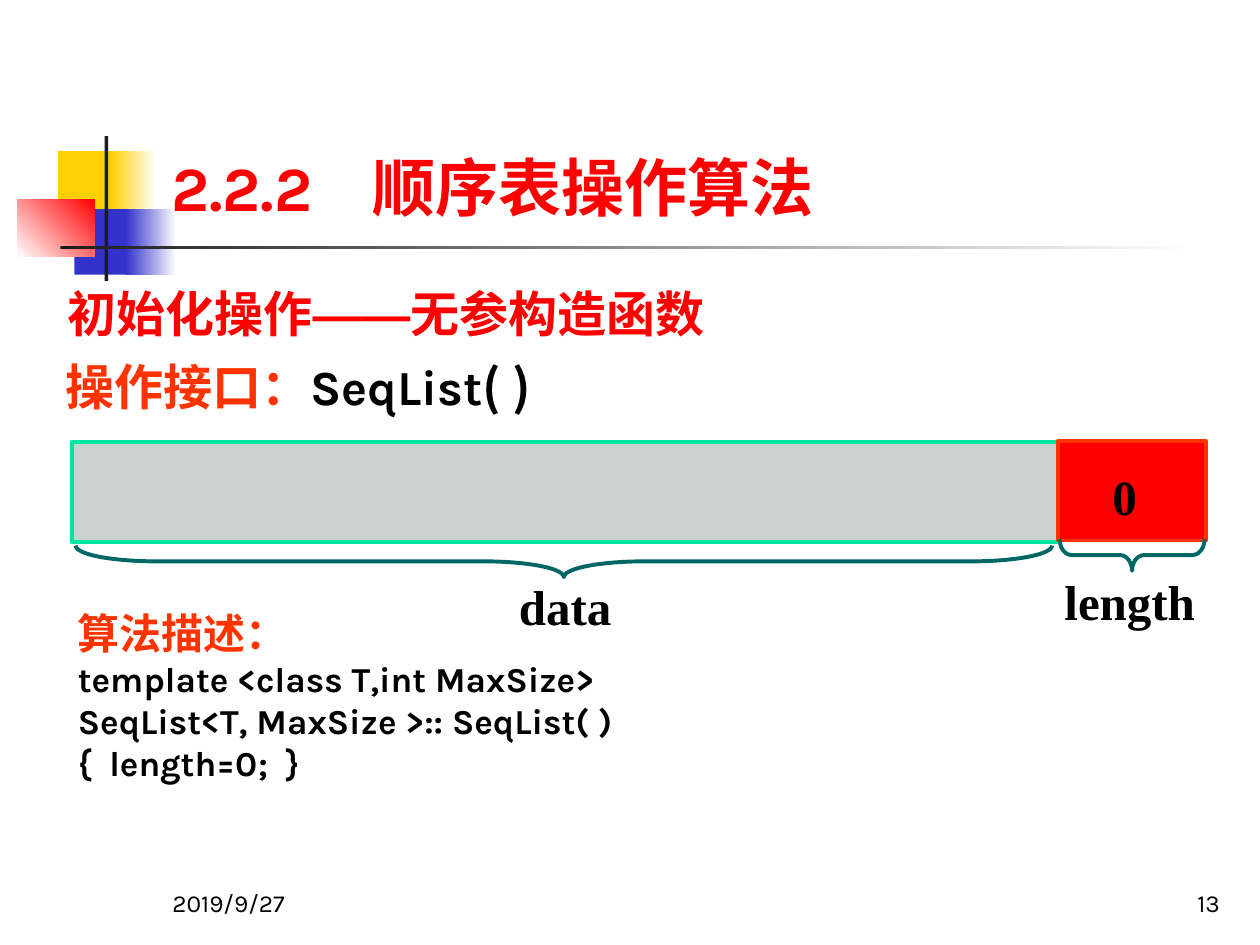
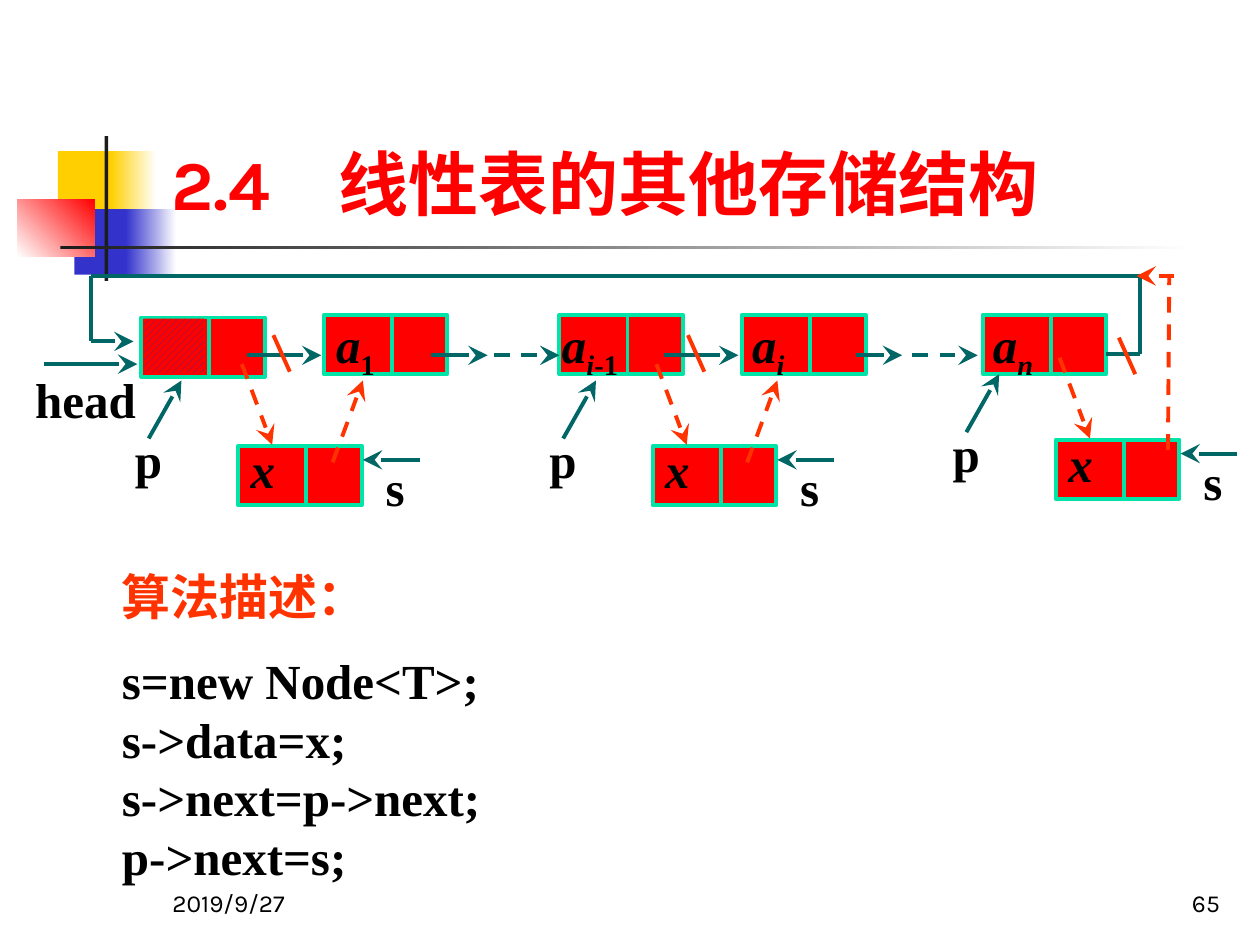
"""Builds two data-structure slides: a sequential list and a circular linked list."""
from dataclasses import dataclass
from itertools import pairwise

import pptx
import pptx.dml.color
import pptx.enum.dml
import pptx.enum.shapes
import pptx.enum.text
import pptx.oxml.ns
import pptx.util
from lxml import etree

SHAPES = pptx.enum.shapes.MSO_SHAPE
ANCHORS = pptx.enum.text.MSO_ANCHOR
ALIGNS = pptx.enum.text.PP_ALIGN
qn = pptx.oxml.ns.qn


@dataclass(frozen=True)
class Theme:
    """Colours, faces and type sizes of the deck."""
    ink: str = "000000"
    paper: str = "FFFFFF"
    red: str = "FF0000"
    orange: str = "FF3300"
    teal: str = "006666"
    mint: str = "00E4A8"
    grey: str = "CBD3D1"
    yellow: str = "FFCF01"
    blue: str = "3333CC"
    hatch: str = "333399"
    bar: str = "1C1C1C"
    sans: str = "Karla"
    serif: str = "Times New Roman"
    east: str = "Noto Sans CJK SC"
    dash: str = "Arial"
    footer: int = 14
    code: int = 20
    heading: int = 24
    body: int = 28
    title: int = 36
    large_title: int = 40
    stroke: float = 2.25


THEME = Theme()
COLUMNS, ROWS = 100, 75
NODE_WIDTH, NODE_HEIGHT, NODE_SPLIT = 9.8, 4.7, 5.4


def grid(cells):
    """Turn grid cells, a tenth of an inch each, into a length."""
    return pptx.util.Inches(cells / 10)


def rgb(code):
    """Turn a hex code into a colour."""
    return pptx.dml.color.RGBColor.from_string(code)


def set_face(font, latin, east):
    """Set the Latin and East Asian faces of a font."""
    font.name = latin
    etree.SubElement(font._rPr, qn("a:ea")).set("typeface", east)


@dataclass
class Span:
    """A run with only what differs from its paragraph."""
    text: str
    color: str = None
    face: str = None
    italic: bool = None
    subscript: bool = False

    def add_to(self, para):
        """Append this run to a paragraph."""
        span = para.add_run()
        span.text = self.text
        if self.italic is not None:
            span.font.italic = self.italic
        if self.color:
            span.font.color.rgb = rgb(self.color)
        if self.face:
            set_face(span.font, self.face, self.face)
        if self.subscript:
            span.font._rPr.set("baseline", "-25000")


@dataclass
class Para:
    """A paragraph's runs and their shared style."""
    spans: list
    size: int = THEME.body
    color: str = THEME.ink
    face: str = THEME.serif
    bold: bool = True
    italic: bool = False
    spacing: float = None
    before: float = None
    hang: float = 0
    tab: float = 0
    align: ALIGNS = ALIGNS.LEFT

    def fill(self, para):
        """Write this content into a paragraph."""
        props = para._p.get_or_add_pPr()
        if self.hang:
            props.set("marL", str(grid(self.hang)))
            props.set("indent", str(-grid(self.hang)))
        if self.tab:
            stops = etree.SubElement(props, qn("a:tabLst"))
            etree.SubElement(stops, qn("a:tab"), pos=str(grid(self.tab)), algn="l")
        para.alignment = self.align
        if self.spacing:
            para.line_spacing = self.spacing
        if self.before:
            para.space_before = pptx.util.Pt(self.before)
        para.font.size = pptx.util.Pt(self.size)
        para.font.bold = self.bold
        para.font.italic = self.italic
        para.font.color.rgb = rgb(self.color)
        set_face(para.font, self.face, THEME.east)
        for span in self.spans:
            span.add_to(para)


def write(shape, paras, insets=(1, 0.5, 1, 0.5), anchor=ANCHORS.TOP):
    """Fill a shape's text frame with paragraphs."""
    frame = shape.text_frame
    frame.word_wrap = True
    frame.vertical_anchor = anchor
    (frame.margin_left, frame.margin_top,
     frame.margin_right, frame.margin_bottom) = map(grid, insets)
    for index, content in enumerate(paras):
        content.fill(frame.add_paragraph() if index else frame.paragraphs[0])


@dataclass
class Region:
    """An area of a page whose contents are placed from its top left corner."""
    page: object
    left: float = 0
    top: float = 0

    def inner(self, left, top):
        """Return a region inside this one."""
        return Region(self.page, self.left + left, self.top + top)

    def place(self, left, top, width, height):
        """Return the slide lengths of a box in this region."""
        return [grid(cells) for cells in (self.left + left, self.top + top, width, height)]

    def text(self, box, paras, **layout):
        """Add a text box."""
        write(self.page.shapes.add_textbox(*self.place(*box)), paras, **layout)

    def shape(self, box, fill=None, line=None, kind=SHAPES.RECTANGLE):
        """Add a preset shape with a plain fill and outline."""
        shape = self.page.shapes.add_shape(kind, *self.place(*box))
        shape.shadow.inherit = False
        if fill:
            shape.fill.solid()
            shape.fill.fore_color.rgb = rgb(fill)
        else:
            shape.fill.background()
        if line:
            shape.line.color.rgb = rgb(line)
            shape.line.width = pptx.util.Pt(THEME.stroke)
        else:
            shape.line.fill.background()
        return shape

    def fade(self, box, start, end, angle=0):
        """Add a rectangle that fades from one colour to another."""
        fill = self.shape(box).fill
        fill.gradient()
        fill.gradient_angle = angle
        for stop, code in zip(fill.gradient_stops, (start, end)):
            stop.color.rgb = rgb(code)

    def line(self, start, end, color=THEME.teal, arrow=False, dashed=False):
        """Add a straight line, with an arrowhead at its end if asked."""
        points = self.place(*start, 0, 0)[:2] + self.place(*end, 0, 0)[:2]
        line = self.page.shapes.add_connector(
            pptx.enum.shapes.MSO_CONNECTOR.STRAIGHT, *points)
        line.line.color.rgb = rgb(color)
        line.line.width = pptx.util.Pt(THEME.stroke)
        if dashed:
            line.line.dash_style = pptx.enum.dml.MSO_LINE.DASH
        props = line._element.spPr
        if arrow:
            etree.SubElement(props.find(qn("a:ln")), qn("a:tailEnd"),
                             type="stealth", w="lg", len="lg")
        etree.SubElement(props, qn("a:effectLst"))

    def brace(self, box, curl):
        """Add a brace that opens upwards across a box."""
        left, top, width, height = box
        middle, centre = left + width / 2, top + height / 2
        upright = (middle - height / 2, centre - width / 2, height, width)
        brace = self.shape(upright, line=THEME.teal, kind=SHAPES.LEFT_BRACE)
        brace.rotation = 270
        brace.adjustments[0] = curl


def draw_emblem(region):
    """Draw the coloured blocks and the rules beside the title."""
    region.shape((3.2, 1.2, 4.8, 5.2), THEME.yellow)
    region.fade((7.4, 1.2, 3.6, 5.2), THEME.yellow, THEME.paper)
    region.shape((4.5, 5.8, 4.6, 5.2), THEME.blue)
    region.fade((8.6, 5.8, 4, 5.2), THEME.blue, THEME.paper)
    region.fade((0, 5, 6.1, 4.6), THEME.paper, THEME.red, 45)
    region.shape((6.9, 0, 0.3, 11.5), THEME.bar)
    region.fade((3.4, 8.7, 90, 0.3), THEME.bar, THEME.paper)


def draw_frame(region, title, number, size, tab):
    """Draw what every slide shares: emblem, footer and title."""
    draw_emblem(region.inner(1.4, 10.8))
    for left, label, align in ((12.7, "2019/9/27", ALIGNS.LEFT), (77, number, ALIGNS.RIGHT)):
        region.text((left, 68.3, 20.8, 5),
                    [Para([Span(label)], THEME.footer, face=THEME.sans, bold=False, align=align)],
                    anchor=ANCHORS.BOTTOM)
    region.text((12.6, 2.3, 85.2, 16),
                [Para([Span(title)], size, THEME.red, THEME.sans, tab=tab)],
                anchor=ANCHORS.BOTTOM)


def draw_array(region):
    """Draw the array, its length field and their braces."""
    region.shape((0, 0.1, 78.4, 7.9), THEME.grey, THEME.mint)
    region.shape((78.3, 0, 11.7, 7.9), THEME.red, THEME.orange)
    region.brace((0.3, 8.3, 77.5, 2.5), 2.55)
    region.brace((78.4, 7.8, 11.5, 2.5), 0.38)
    for left, top, width, label in ((34.5, 10.3, 10.2, "data"),
                                    (77.8, 9.9, 12.6, "length"), (81.6, 1.5, 5.6, "0")):
        region.text((left, top, width, 5.7), [Para([Span(label)])])


def draw_sequential_list(region):
    """Draw the slide on initialising a sequential list."""
    draw_frame(region, "2.2.2\t顺序表操作算法", "13", THEME.title, 16)
    region.text((4.4, 21.6, 64.8, 6.4), [Para(
        [Span("初始化操作"), Span("——", face=THEME.dash), Span("无参构造函数")],
        color=THEME.red, face=THEME.sans)], anchor=ANCHORS.MIDDLE)
    region.text((5.2, 28.3, 53.8, 5.2), [Para(
        [Span("操作接口："), Span("SeqList", THEME.ink), Span("( )", THEME.ink, THEME.east)],
        color=THEME.orange, face=THEME.sans, spacing=0.9, hang=3.8)], insets=(0, 0.5, 0, 0.5))
    code = ("template <class T,int MaxSize>", "SeqList<T, MaxSize >:: SeqList( )",
            "{  length=0;  }")
    region.text((5.2, 47.7, 66.7, 15),
                [Para([Span("算法描述：")], THEME.heading, THEME.orange)]
                + [Para([Span(row)], THEME.code, face=THEME.sans) for row in code])
    draw_array(region.inner(5.7, 35))


def draw_node(region, name="", subscript=(), inset=1):
    """Draw a list node with its data and link fields."""
    node = region.shape((0, 0, NODE_WIDTH, NODE_HEIGHT), THEME.red, THEME.mint)
    if name:
        write(node, [Para([Span(name), *subscript], italic=True, spacing=0.9)],
              insets=(inset, 0, 0, 0.8))
    region.line((NODE_SPLIT, 0), (NODE_SPLIT, NODE_HEIGHT), THEME.mint)


def draw_label(region, left, top, width, label):
    """Name a pointer."""
    region.text((left, top, width, 5.1), [Para([Span(label)])], insets=(0, 0, 0, 0.4))


def draw_insertion(region, cut, relink):
    """Draw the new node x, pointers s and p, the cut link and the new links."""
    draw_node(region, "x")
    region.line((14.4, 1.1), (9.9, 1.1), arrow=True)
    draw_label(region, 11.7, 0.9, 3.1, "s")
    region.line((-7.1, -0.6), (-4.5, -5.2), arrow=True)
    draw_label(region, -8.2, -1.3, 3.1, "p")
    if relink:
        region.line((7.5, 1.3), (9.9, -5.2), THEME.orange, arrow=True, dashed=True)
    region.line((0.3, -6.5), (2.7, -0.1), THEME.orange, arrow=True, dashed=True)
    left, top = cut
    region.line(cut, (left + 1.3, top + 2.9), THEME.orange)


def draw_chain(region):
    """Draw the circular list, its links and three insertions."""
    draw_label(region, 2.8, 7.5, 8.3, "head")
    region.line((3.5, 7.1), (10.9, 7.1), arrow=True)
    draw_node(region.inner(11.2, 3.4))
    cell = region.shape((11.4, 3.5, 4.8, 4.3), THEME.red)
    cell.fill.patterned()
    cell.fill.pattern = pptx.enum.dml.MSO_PATTERN.WIDE_UPWARD_DIAGONAL
    cell.fill.fore_color.rgb = rgb(THEME.hatch)
    cell.fill.back_color.rgb = rgb(THEME.red)
    index = Span("i", subscript=True)
    for left, subscript, inset in (
            (25.7, [Span("1", italic=False, subscript=True)], 1),
            (44.4, [index, Span("-1", italic=False, subscript=True)], 0.2),
            (58.9, [index], 0.8),
            (78, [Span("n", subscript=True)], 0.8)):
        draw_node(region.inner(left, 3.2), "a", subscript, inset)
    for start, end, dashed in ((19.6, 25.5, False), (34.2, 38.7, False), (39.2, 44.4, True),
                               (52.7, 58.6, False), (67.9, 71.6, False), (72.4, 77.6, True)):
        region.line((start, 6.4), (end, 6.4), arrow=True, dashed=dashed)
    loop = ((87.8, 6.3), (90.5, 6.3), (90.5, 0.1), (7.2, 0.1), (7.2, 5.3), (10.6, 5.3))
    for start, end in pairwise(loop):
        region.line(start, end, arrow=end == loop[-1])
    for left, top, cut, relink in ((18.9, 13.6, (2.8, -8.8), True),
                                   (51.8, 13.6, (2.8, -8.8), True),
                                   (83.8, 13.1, (5, -8.1), False)):
        draw_insertion(region.inner(left, top), cut, relink)
    region.line((92.7, 13.9), (92.8, 0), THEME.orange, dashed=True)
    region.line((93.2, 0.1), (90.2, 0.1), THEME.orange, arrow=True, dashed=True)


def draw_linked_list(region):
    """Draw the slide on inserting into a circular linked list."""
    draw_frame(region, "2.4\t线性表的其他存储结构", "65", THEME.large_title, 13.3)
    draw_chain(region.inner(0, 21.8))
    code = ("s=new Node<T>;", "s->data=x;", "s->next=p->next;", "p->next=s;")
    region.text((8.7, 44.5, 50, 26.7),
                [Para([Span("算法描述：")], color=THEME.orange)]
                + [Para([Span(row)], before=0 if number else THEME.body / 2)
                   for number, row in enumerate(code)])


def main():
    """Build and save the deck."""
    deck = pptx.Presentation()
    deck.slide_width, deck.slide_height = grid(COLUMNS), grid(ROWS)
    for draw in (draw_sequential_list, draw_linked_list):
        draw(Region(deck.slides.add_slide(deck.slide_layouts[6])))
    deck.save("out.pptx")


if __name__ == "__main__":
    main()
